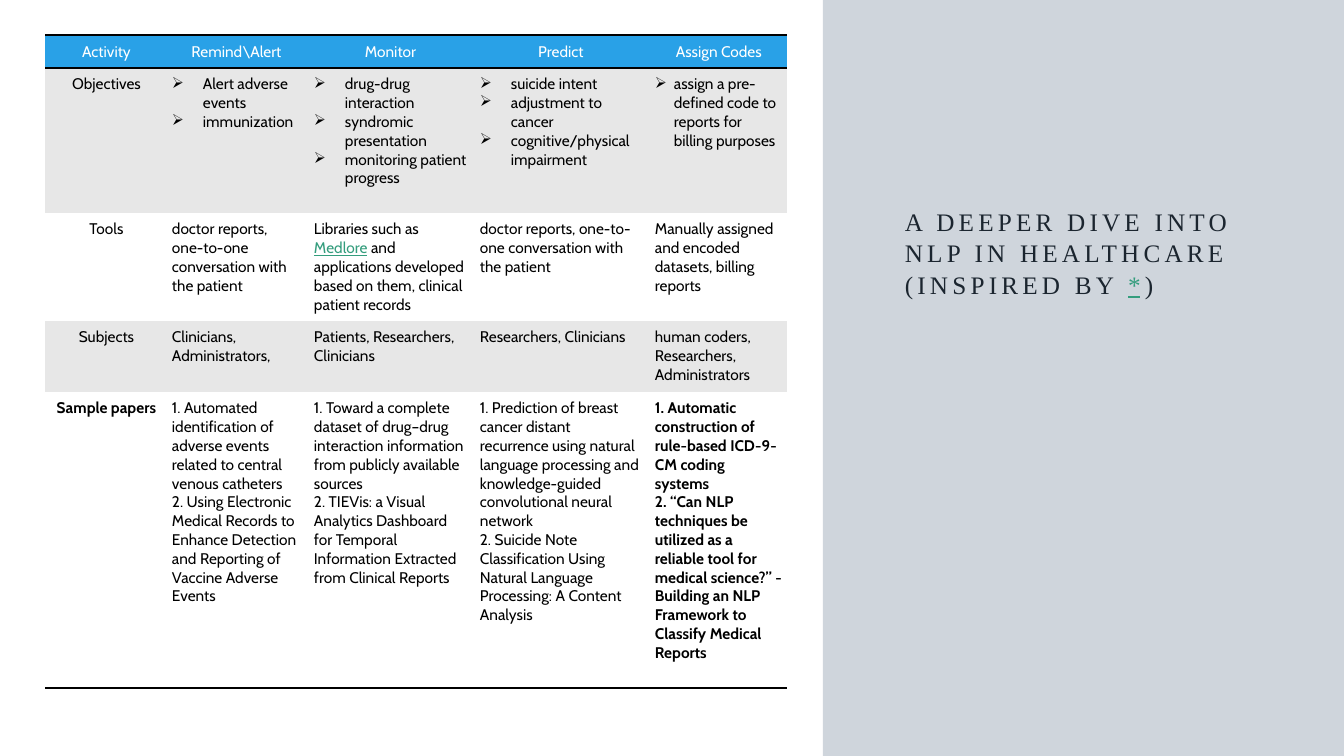
from lxml import etree
from pptx import Presentation
from pptx import util as u
from pptx.dml.color import RGBColor
from pptx.enum import shapes, text
from pptx.oxml.ns import qn

BLACK, WHITE, GREY, BLUE = "000000", "FFFFFF", "E7E7E7", "29A1E7"
LINK, SLATE, INK = "349D7D", "435B74", "1B252F"
NO_STYLE = "{2D5ABB26-0587-4C30-8999-92F81FD0307C}"
COLUMNS = [118, 142, 166, 175, 141]
ROWS = [33, 145, 108, 71, 296]

# Each cell is a list of paragraphs; |bars| enclose a link.
HEADER = [["Activity"], ["Remind\\Alert"], ["Monitor"], ["Predict"], ["Assign Codes"]]
OBJECTIVES = [
    ["Objectives"],
    ["Alert adverse events", "immunization"],
    ["drug-drug interaction", "syndromic presentation", "monitoring patient progress"],
    ["suicide intent", "adjustment to cancer", "cognitive/physical impairment"],
    ["assign a pre-defined code to reports for billing purposes"],
]
TOOLS = [
    ["Tools"],
    ["doctor reports, one-to-one conversation with the patient"],
    ["Libraries such as |Medlore| and applications developed based on them, "
     "clinical patient records"],
    ["doctor reports, one-to-one conversation with the patient"],
    ["Manually assigned and encoded datasets, billing reports"],
]
SUBJECTS = [
    ["Subjects"],
    ["Clinicians, Administrators,"],
    ["Patients, Researchers, Clinicians"],
    ["Researchers, Clinicians"],
    ["human coders, Researchers, Administrators"],
]
PAPERS = [
    ["Sample papers"],
    ["1. Automated identification of adverse events related to central venous catheters",
     "2. Using Electronic Medical Records to Enhance Detection and Reporting of "
     "Vaccine Adverse Events"],
    ["1. Toward a complete dataset of drug–drug interaction information from "
     "publicly available sources",
     "2. TIEVis: a Visual Analytics Dashboard for Temporal Information Extracted "
     "from Clinical Reports"],
    ["1. Prediction of breast cancer distant recurrence using natural language "
     "processing and knowledge-guided convolutional neural network",
     "2. Suicide Note Classification Using Natural Language Processing: "
     "A Content Analysis"],
    ["1. Automatic construction of rule-based ICD-9-CM coding systems",
     "2. “Can NLP techniques be utilized as a reliable tool for medical science?” - "
     "Building an NLP Framework to Classify Medical Reports"],
]
CONTENT = [HEADER, OBJECTIVES, TOOLS, SUBJECTS, PAPERS]


def px(n):
    return u.Inches(n / 100.8)


def rgb(hex_color):
    return RGBColor.from_string(hex_color)


def write(tf, paragraphs, *, font, size, color, bold=False, align=text.PP_ALIGN.LEFT,
          spacing=0, after=0, line=None, bullet_indent=0):
    for i, content in enumerate(paragraphs):
        p = tf.paragraphs[0] if i == 0 else tf.add_paragraph()
        p.alignment = align
        p.space_after = u.Pt(after)
        if line:
            p.line_spacing = line
        if bullet_indent:
            pPr = p._p.get_or_add_pPr()
            pPr.set("marL", str(px(bullet_indent)))
            pPr.set("indent", str(-px(bullet_indent)))
            etree.SubElement(pPr, qn("a:buChar")).set("char", "➢")
        for j, piece in enumerate(content.split("|")):
            is_link = j % 2 == 1
            r = p.add_run()
            r.text = piece
            r.font.name, r.font.size, r.font.bold = font, u.Pt(size), bold
            r.font.underline = is_link
            r.font.color.rgb = rgb(LINK if is_link else color)
            if spacing:
                r._r.get_or_add_rPr().set("spc", str(spacing * 100))


def add_rules(cell, sides):
    """Draw black 2 pt borders on the given sides, in the order T, B."""
    tcPr = cell._tc.get_or_add_tcPr()
    for i, side in enumerate(sides):
        ln = etree.Element(qn("a:ln" + side), w=str(u.Pt(2)))
        fill = etree.SubElement(ln, qn("a:solidFill"))
        etree.SubElement(fill, qn("a:srgbClr")).set("val", BLACK)
        tcPr.insert(i, ln)


def activity_table(slide, x, y):
    frame = slide.shapes.add_table(len(ROWS), len(COLUMNS), px(x), px(y),
                                   px(sum(COLUMNS)), px(sum(ROWS)))
    table = frame.table
    table.horz_banding = False
    table._tbl.tblPr.find(qn("a:tableStyleId")).text = NO_STYLE
    for column, width in zip(table.columns, COLUMNS):
        column.width = px(width)
    last_row, last_column = len(ROWS) - 1, len(COLUMNS) - 1
    for row, height in enumerate(ROWS):
        table.rows[row].height = px(height)
        for col, paragraphs in enumerate(CONTENT[row]):
            cell = table.cell(row, col)
            cell.margin_left, cell.margin_right = px(9), px(4)
            cell.margin_top = cell.margin_bottom = px(7)
            cell.fill.solid()
            cell.fill.fore_color.rgb = rgb(BLUE if row == 0 else GREY if row % 2 else WHITE)
            if row == 0:
                cell.vertical_anchor = text.MSO_ANCHOR.MIDDLE
            add_rules(cell, {0: "TB", last_row: "B"}.get(row, ""))
            centred = row == 0 or col == 0
            bullet = 0 if row != 1 or col == 0 else 19 if col == last_column else 31
            write(cell.text_frame, paragraphs, font="Cabin", size=11,
                  color=WHITE if row == 0 else BLACK,
                  bold=row == last_row and col in (0, last_column),
                  align=text.PP_ALIGN.CENTER if centred else text.PP_ALIGN.LEFT,
                  bullet_indent=bullet)


def title_panel(slide, x, y, w, h):
    sp = slide.shapes.add_shape(shapes.MSO_SHAPE.RECTANGLE, px(x), px(y), px(w), px(h))
    sp.shadow.inherit = False
    sp.line.fill.background()
    sp.fill.solid()
    sp.fill.fore_color.rgb = rgb(SLATE)
    color = sp._element.spPr.find(qn("a:solidFill"))[0]
    etree.SubElement(color, qn("a:alpha")).set("val", "25000")

    tf = slide.shapes.add_textbox(px(x + 72), px(y + 200), px(374), px(496)).text_frame
    tf.word_wrap = True
    write(tf, ["A DEEPER DIVE INTO NLP IN HEALTHCARE (INSPIRED BY |*|)"],
          font="Times New Roman", size=18, color=INK, spacing=3, after=6, line=1.04)


def main():
    prs = Presentation()
    prs.slide_width, prs.slide_height = px(1344), px(756)
    slide = prs.slides.add_slide(prs.slide_layouts[6])
    title_panel(slide, 823, 0, 521, 756)
    activity_table(slide, 45, 35)
    prs.save("out.pptx")


if __name__ == "__main__":
    main()
